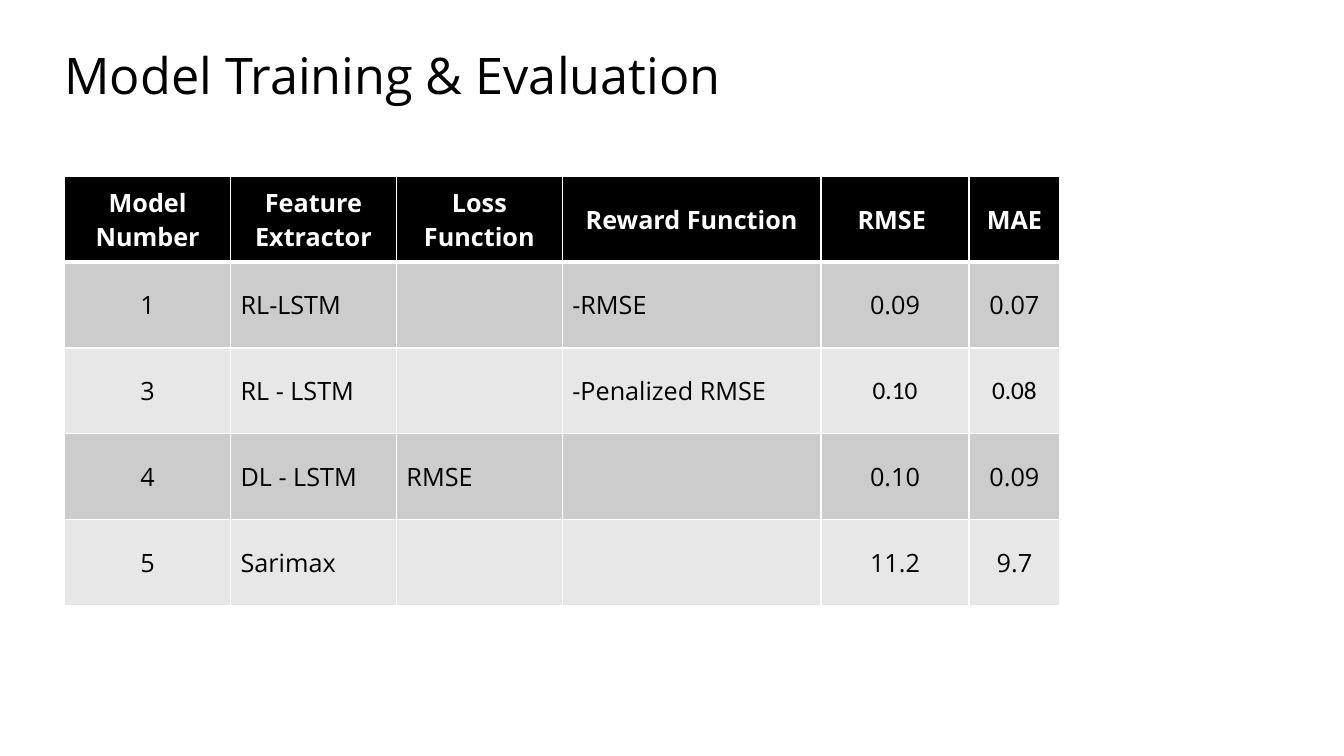
"""Build the model training and evaluation slide."""
from lxml.etree import SubElement
from pptx import Presentation
from pptx.dml.color import RGBColor
from pptx.enum.text import MSO_ANCHOR, MSO_AUTO_SIZE, PP_ALIGN
from pptx.oxml.ns import qn
from pptx.util import Cm, Pt

TITLE = "Model Training & Evaluation"
ROWS = [
    ("Model Number", "Feature Extractor", "Loss Function", "Reward Function", "RMSE ", "MAE"),
    ("1", "RL-LSTM", "", "-RMSE", "0.09", "0.07"),
    ("3", "RL - LSTM", "", "-Penalized RMSE", "0.10", "0.08"),
    ("4", "DL - LSTM", "RMSE", "", "0.10", "0.09"),
    ("5", "Sarimax", "", "", "11.2", "9.7"),
]
WIDTHS = (4.18, 4.18, 4.18, 6.52, 3.73, 2.29)
HEIGHT = 2.16
LEFT_COLS = (1, 2, 3)
CALIBRI = {(2, 4), (2, 5)}
FONT = "Open Sans"
BLACK, WHITE = "000000", "FFFFFF"
BANDS = ("E7E7E7", "CCCCCC")


def color(fmt, code):
    fmt.rgb = RGBColor.from_string(code)


def write(par, text, size, code, font=FONT, bold=False):
    run = par.add_run()
    run.text = text
    run.font.name = font
    run.font.size = Pt(size)
    run.font.bold = bold
    color(run.font.color, code)


def border(cell, side, width):
    props = cell._tc.get_or_add_tcPr()
    line = SubElement(props, qn("a:ln" + side), w=str(Pt(width)))
    fill = SubElement(line, qn("a:solidFill"))
    SubElement(fill, qn("a:srgbClr"), val=WHITE)


def add_title(slide):
    title = slide.shapes.title
    title.left, title.top = Cm(1.37), Cm(0.13)
    title.width, title.height = Cm(29.21), Cm(3.68)
    frame = title.text_frame
    frame.word_wrap = True
    frame.auto_size = MSO_AUTO_SIZE.NONE
    frame.vertical_anchor = MSO_ANCHOR.MIDDLE
    par = frame.paragraphs[0]
    par.alignment = PP_ALIGN.LEFT
    par.line_spacing = 0.9
    write(par, TITLE, 36, BLACK)


def fill_cell(cell, row, col, text):
    head = row == 0
    tops = {0: 1, 1: 3}
    for side, width in (("L", 1), ("R", 1), ("T", tops.get(row, 1)), ("B", 3 if head else 1)):
        border(cell, side, width)
    cell.fill.solid()
    color(cell.fill.fore_color, BLACK if head else BANDS[row % 2])
    cell.vertical_anchor = MSO_ANCHOR.MIDDLE
    par = cell.text_frame.paragraphs[0]
    left = col in LEFT_COLS and not head
    par.alignment = PP_ALIGN.LEFT if left else PP_ALIGN.CENTER
    if text:
        font = "Calibri" if (row, col) in CALIBRI else FONT
        write(par, text, 18, WHITE if head else BLACK, font, head)


def add_scores(slide):
    frame = slide.shapes.add_table(
        len(ROWS), len(WIDTHS), Cm(1.63), Cm(4.45),
        Cm(sum(WIDTHS)), Cm(HEIGHT * len(ROWS)))
    table = frame.table
    table.horz_banding = False
    for col, width in enumerate(WIDTHS):
        table.columns[col].width = Cm(width)
    for row, texts in enumerate(ROWS):
        table.rows[row].height = Cm(HEIGHT)
        for col, text in enumerate(texts):
            fill_cell(table.cell(row, col), row, col, text)


def main():
    deck = Presentation()
    deck.slide_width, deck.slide_height = Cm(33.87), Cm(19.05)
    slide = deck.slides.add_slide(deck.slide_layouts[5])
    add_title(slide)
    add_scores(slide)
    deck.save("out.pptx")


if __name__ == "__main__":
    main()
